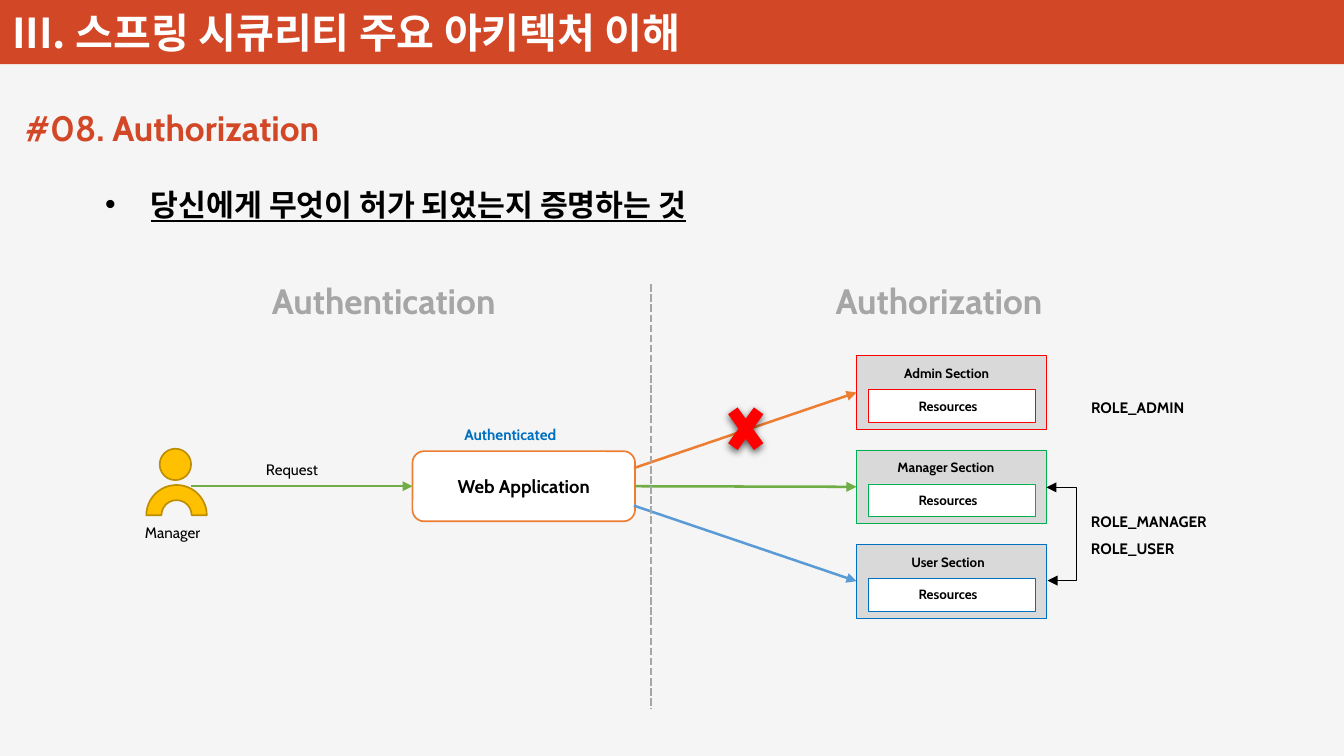
from lxml.etree import SubElement
from pptx import Presentation
from pptx.dml.color import RGBColor
from pptx.enum.dml import MSO_LINE
from pptx.enum.shapes import MSO_CONNECTOR, MSO_SHAPE
from pptx.enum.text import MSO_ANCHOR, PP_ALIGN
from pptx.oxml.ns import qn
from pptx.util import Inches, Pt

# Content
TITLE = "III. 스프링 시큐리티 주요 아키텍처 이해"
DEFINITION = "당신에게 무엇이 허가 되었는지 증명하는 것"
RED, BLACK, GREY, WHITE = "D24726", "000000", "A6A6A6", "FFFFFF"
ORANGE, GREEN, BLUE = "ED7D31", "70AD47", "5B9BD5"
PERSON_FILL, PERSON_LINE = "FFC000", "BD8E00"

# text lines, left, top, width, height, size, colour, bold, line spacing
LABELS = [
    (["#08. Authorization"], 0.11, 0.83, 2.8, 0.45, 21, RED, True, None),
    (["Authentication"], 2.15, 2.26, 2.27, 0.45, 21, GREY, True, None),
    (["Authorization"], 6.81, 2.26, 2.12, 0.45, 21, GREY, True, None),
    (["Request"], 2.1, 3.76, 0.65, 0.25, 9, BLACK, False, None),
    (["Manager"], 1.1, 4.28, 0.7, 0.25, 9, BLACK, False, None),
    (["Authenticated"], 3.74, 3.47, 1.05, 0.25, 9, "0070C0", True, None),
    (["ROLE_ADMIN"], 8.92, 3.17, 1.01, 0.3, 9, BLACK, True, 1.5),
    (["ROLE_MANAGER", "ROLE_USER"], 8.92, 4.11, 1.2, 0.53, 9, BLACK, True, 1.5),
]
# name, label width, border colour, arrow colour, arrow start height
SECTIONS = [
    ("Admin Section", 0.98, "FF0000", ORANGE, 3.87),
    ("Manager Section", 1.09, "00B050", GREEN, 4.02),
    ("User Section", 0.86, "0070C0", BLUE, 4.18),
]
SECTION_LEFT, SECTION_TOP, SECTION_STEP = 7.08, 2.94, 0.78
SECTION_WIDTH, SECTION_HEIGHT = 1.57, 0.61

presentation = Presentation()
presentation.slide_width, presentation.slide_height = Inches(11.11), Inches(6.25)
slide = presentation.slides.add_slide(presentation.slide_layouts[6])


def color(value):
    return RGBColor.from_string(value)


def style(paragraph, size, ink, bold=True, name="Cabin"):
    font = paragraph.font
    font.size, font.bold, font.name = Pt(size), bold, name
    font.color.rgb = color(ink)


def add_box(kind, left, top, width, height, fill, line=None, weight=1):
    shape = slide.shapes.add_shape(
        kind, Inches(left), Inches(top), Inches(width), Inches(height))
    shape.shadow.inherit = False
    shape.fill.solid()
    shape.fill.fore_color.rgb = color(fill)
    if line:
        shape.line.color.rgb = color(line)
        shape.line.width = Pt(weight)
    else:
        shape.line.fill.background()
    return shape


def add_text(lines, left, top, width, height, size, ink, bold=True,
             spacing=None, wrap=False):
    box = slide.shapes.add_textbox(
        Inches(left), Inches(top), Inches(width), Inches(height))
    frame = box.text_frame
    frame.word_wrap = wrap
    frame.text = "\n".join(lines)
    for paragraph in frame.paragraphs:
        style(paragraph, size, ink, bold)
        if spacing:
            paragraph.line_spacing = spacing
    return box


def add_line(start, end, ink, weight=1.5, ends=("tailEnd",),
             kind=MSO_CONNECTOR.STRAIGHT, dash=None):
    connector = slide.shapes.add_connector(kind, *map(Inches, start + end))
    connector.line.color.rgb = color(ink)
    connector.line.width = Pt(weight)
    if dash:
        connector.line.dash_style = dash
    outline = connector.line._get_or_add_ln()
    for end_name in ends:
        SubElement(outline, qn(f"a:{end_name}"), type="triangle")
    SubElement(connector._element.spPr, qn("a:effectLst"))
    return connector


# Background and title bar
slide.background.fill.solid()
slide.background.fill.fore_color.rgb = color("F5F5F5")
add_box(MSO_SHAPE.RECTANGLE, 0, 0, 11.11, 0.53, RED)
title = add_text([TITLE], 0.01, -0.1, 6.72, 0.61, 24.5, WHITE, wrap=True)
title_frame = title.text_frame
title_frame.vertical_anchor = MSO_ANCHOR.BOTTOM
title_frame.margin_left = title_frame.margin_right = Inches(0.09)
title_frame.margin_top = title_frame.margin_bottom = Inches(0.04)
title_paragraph = title_frame.paragraphs[0]
title_paragraph.font.name = "Noto Sans CJK KR"
SubElement(title_paragraph.font._element, qn("a:ea"), typeface="Noto Sans CJK KR")

# Definition bullet
definition_box = slide.shapes.add_textbox(
    Inches(0.77), Inches(1.34), Inches(9.56), Inches(0.5))
definition_box.text_frame.word_wrap = True
definition = definition_box.text_frame.paragraphs[0]
definition.text = DEFINITION
definition.line_spacing = 1.5
properties = definition._p.get_or_add_pPr()
properties.set("marL", str(Inches(0.38)))
properties.set("indent", str(-Inches(0.38)))
SubElement(properties, qn("a:buFont"), typeface="Arial")
SubElement(properties, qn("a:buChar"), char="•")
style(definition, 18, BLACK)
definition.font.underline = True

# Web application
application = add_box(
    MSO_SHAPE.ROUNDED_RECTANGLE, 3.41, 3.73, 1.84, 0.58, WHITE, ORANGE)
application.text_frame.text = "Web Application"
application.text_frame.vertical_anchor = MSO_ANCHOR.MIDDLE
application_name = application.text_frame.paragraphs[0]
application_name.alignment = PP_ALIGN.CENTER
style(application_name, 11, BLACK)

# Manager figure and request
add_box(MSO_SHAPE.OVAL, 1.32, 3.71, 0.26, 0.26, PERSON_FILL, PERSON_LINE)
request = add_line((1.58, 4.02), (3.41, 4.02), GREEN)
request.end_connect(application, 1)
add_box(MSO_SHAPE.BLOCK_ARC, 1.21, 4.01, 0.5, 0.5, PERSON_FILL, PERSON_LINE)

# Sections with their resources and arrows
center = SECTION_LEFT + SECTION_WIDTH / 2
for index, (name, label_width, border, arrow, start) in enumerate(SECTIONS):
    top = SECTION_TOP + index * SECTION_STEP
    section = add_box(MSO_SHAPE.RECTANGLE, SECTION_LEFT, top,
                      SECTION_WIDTH, SECTION_HEIGHT, "D9D9D9", border, 0.25)
    add_box(MSO_SHAPE.RECTANGLE, SECTION_LEFT + 0.1, top + 0.28,
            1.38, 0.27, WHITE, border, 0.25)
    add_text(["Resources"], center - 0.37, top + 0.3, 0.73, 0.24, 8, BLACK)
    add_text([name], center - label_width / 2, top + 0.03,
             label_width, 0.24, 8, BLACK)
    access = add_line((5.24, start), (SECTION_LEFT, top + SECTION_HEIGHT / 2), arrow)
    access.end_connect(section, 1)
    if arrow == GREEN:
        access.begin_connect(application, 3)

# Denied mark
denied = add_box(MSO_SHAPE.MATH_MULTIPLY, 5.96, 3.26, 0.41, 0.57, "FF0000")
effects = denied._element.spPr.find(qn("a:effectLst"))
shadow = SubElement(effects, qn("a:outerShdw"), blurRad=str(Pt(4.5)),
                    dist=str(Pt(1.5)), dir="5400000", rotWithShape="0")
shadow_color = SubElement(shadow, qn("a:srgbClr"), val=BLACK)
SubElement(shadow_color, qn("a:alpha"), val="63000")

# Role bracket, bending 0.25 inch to the right of its start
bracket = add_line((8.65, 4.03), (8.66, 4.8), BLACK, 0.5,
                   ("headEnd", "tailEnd"), MSO_CONNECTOR.ELBOW)
guides = bracket._element.spPr.find(qn("a:prstGeom")).get_or_add_avLst()
SubElement(guides, qn("a:gd"), name="adj1", fmla="val 2500000")

# Divider and labels
add_line((5.38, 2.35), (5.38, 5.86), GREY, ends=(), dash=MSO_LINE.SQUARE_DOT)
for label in LABELS:
    add_text(*label)

presentation.save("out.pptx")
